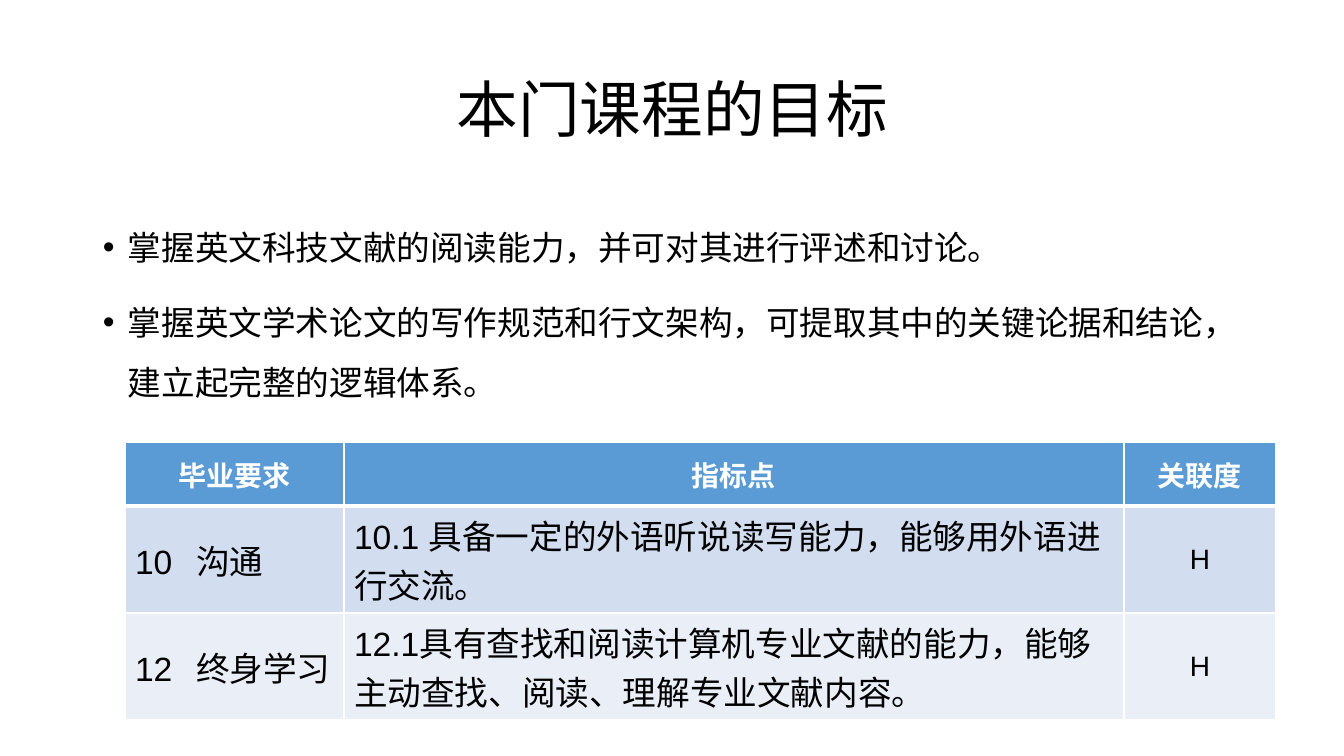
from lxml import etree
from pptx import Presentation
from pptx import util as u
from pptx.dml.color import RGBColor
from pptx.enum import text
from pptx.oxml.ns import qn

# Content
TITLE = "本门课程的目标"
GOALS = [
    "掌握英文科技文献的阅读能力，并可对其进行评述和讨论。",
    "掌握英文学术论文的写作规范和行文架构，可提取其中的关键论据和结论，建立起完整的逻辑体系。",
]
ROWS = [
    ("毕业要求", "指标点", "关联度"),
    ("10\t沟通", "10.1 具备一定的外语听说读写能力，能够用外语进行交流。", "H"),
    ("12\t终身学习", "12.1具有查找和阅读计算机专业文献的能力，能够主动查找、阅读、理解专业文献内容。", "H"),
]

# Lengths in px
SLIDE = (1344, 756)
TITLE_BOX = (93, 40, 1159, 146)
GOAL_BOX = (93, 202, 1159, 230)
LEFT, TOP = 125, 442
COLS = (219, 780, 152)
HEIGHTS = (64, 107, 107)
INDENT, TAB = 25, 61

BLACK = RGBColor(0x00, 0x00, 0x00)
WHITE = RGBColor(0xFF, 0xFF, 0xFF)
FILLS = (RGBColor(0x5B, 0x9B, 0xD5), RGBColor(0xD2, 0xDE, 0xEF), RGBColor(0xEA, 0xEF, 0xF7))
ALIGN = text.PP_ALIGN


def px(n):
    return u.Emu(round(n * 914400 / 100.8))


def place(shape, box):
    shape.left, shape.top, shape.width, shape.height = map(px, box)


def add_run(para, words, size, font, color=BLACK, bold=False):
    run = para.add_run()
    run.text = words
    run.font.size, run.font.name, run.font.bold = u.Pt(size), font, bold
    run.font.color.rgb = color


def add_border(cell, side, width):
    line = etree.SubElement(cell._tc.get_or_add_tcPr(), qn("a:ln" + side), w=str(u.Pt(width)))
    fill = etree.SubElement(line, qn("a:solidFill"))
    etree.SubElement(fill, qn("a:srgbClr"), val=str(WHITE))


def add_title(slide):
    title = slide.shapes.title
    place(title, TITLE_BOX)
    frame = title.text_frame
    frame.vertical_anchor = text.MSO_ANCHOR.MIDDLE
    para = frame.paragraphs[0]
    para.alignment, para.line_spacing = ALIGN.CENTER, 0.9
    add_run(para, TITLE, 44, "Calibri")


def add_goals(slide):
    frame = slide.shapes.add_textbox(*map(px, GOAL_BOX)).text_frame
    frame.word_wrap = True
    for i, goal in enumerate(GOALS):
        para = frame.add_paragraph() if i else frame.paragraphs[0]
        para.line_spacing = 1.5
        if i:
            para.space_before = u.Pt(10)
        props = para._p.get_or_add_pPr()
        props.set("marL", str(px(INDENT)))
        props.set("indent", str(-px(INDENT)))
        etree.SubElement(props, qn("a:buFont"), typeface="Arial")
        etree.SubElement(props, qn("a:buChar"), char="•")
        add_run(para, goal, 24, "Calibri")


def fill_cell(cell, words, r, c):
    head = r == 0
    for side in "LRTB":
        thick = (r, side) in ((0, "B"), (1, "T"))
        add_border(cell, side, 3 if thick else 1)
    cell.fill.solid()
    cell.fill.fore_color.rgb = FILLS[r]
    cell.vertical_anchor = text.MSO_ANCHOR.MIDDLE
    para = cell.text_frame.paragraphs[0]
    para.alignment = ALIGN.CENTER if head or c == 2 else ALIGN.LEFT
    if "\t" in words:
        tabs = etree.SubElement(para._p.get_or_add_pPr(), qn("a:tabLst"))
        etree.SubElement(tabs, qn("a:tab"), pos=str(px(TAB)), algn="l")
    size = 20 if head or c == 2 else 24
    add_run(para, words, size, "Arial", WHITE if head else BLACK, head)


def add_grid(slide):
    box = (LEFT, TOP, sum(COLS), sum(HEIGHTS))
    table = slide.shapes.add_table(len(ROWS), len(COLS), *map(px, box)).table
    for col, width in zip(table.columns, COLS):
        col.width = px(width)
    for row, height in zip(table.rows, HEIGHTS):
        row.height = px(height)
    for r, row in enumerate(ROWS):
        for c, words in enumerate(row):
            fill_cell(table.cell(r, c), words, r, c)


def main():
    deck = Presentation()
    deck.slide_width, deck.slide_height = map(px, SLIDE)
    slide = deck.slides.add_slide(deck.slide_layouts[5])
    add_title(slide)
    add_goals(slide)
    add_grid(slide)
    deck.save("out.pptx")


if __name__ == "__main__":
    main()
